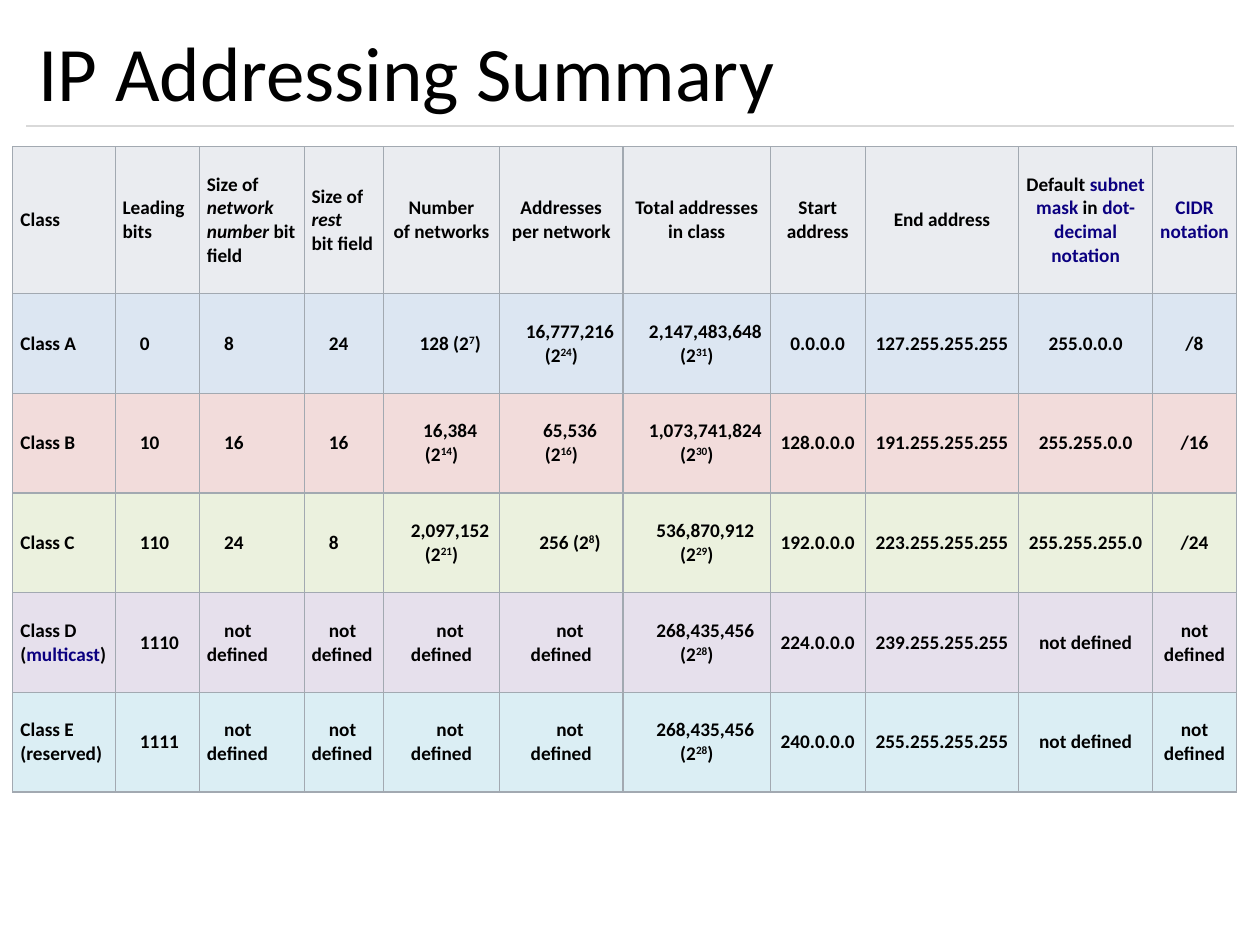
from lxml.etree import SubElement
from pptx import Presentation
from pptx.dml.color import RGBColor
from pptx.enum.shapes import MSO_CONNECTOR
from pptx.enum.text import MSO_ANCHOR, PP_ALIGN
from pptx.oxml.ns import qn
from pptx.util import Cm, Pt

FONT = "Calibri"
BLACK, LINK, BORDER, RULE = "000000", "0B0080", "A2A9B1", "D9D9D9"
COLUMN_WIDTHS = [2.06, 1.7, 2.11, 1.6, 2.34, 2.49, 2.97, 1.91, 3.1, 2.69, 1.7]
HEADER_HEIGHT, ROW_HEIGHT = 2.96, 2.01
FIRST_CENTRED = 4
INDENTED = range(1, 7)
INDENT = Cm(0.35)
UNDEFINED = "not defined"


def italic(text):
    return text, {"italic": True}


def link(text):
    return text, {"color": LINK}


def power(count, exponent):
    return [f"{count} (2", (str(exponent), {"raised": True}), ")"]


# A cell is a string or a list of spans; a span is a string or (text, format)
HEADER = [
    "Class",
    "Leading\nbits",
    ["Size of ", italic("network\nnumber "), "bit field"],
    ["Size of ", italic("rest\n"), "bit field"],
    "Number\nof networks",
    "Addresses\nper network",
    "Total addresses\nin class",
    "Start address",
    "End address",
    ["Default ", link("subnet mask"), " in ", link("dot-decimal notation")],
    [link("CIDR notation")],
]
CLASSES = [
    ("DCE6F2", ["Class A", "0", "8", "24", power("128", 7), power("16,777,216", 24),
                power("2,147,483,648", 31), "0.0.0.0", "127.255.255.255",
                "255.0.0.0", "/8"]),
    ("F2DCDB", ["Class B", "10", "16", "16", power("16,384", 14), power("65,536", 16),
                power("1,073,741,824", 30), "128.0.0.0", "191.255.255.255",
                "255.255.0.0", "/16"]),
    ("EBF1DE", ["Class C", "110", "24", "8", power("2,097,152", 21), power("256", 8),
                power("536,870,912", 29), "192.0.0.0", "223.255.255.255",
                "255.255.255.0", "/24"]),
    ("E6E0EC", [["Class D (", link("multicast"), ")"], "1110", *[UNDEFINED] * 4,
                power("268,435,456", 28), "224.0.0.0", "239.255.255.255",
                UNDEFINED, UNDEFINED]),
    ("DBEEF4", ["Class E (reserved)", "1111", *[UNDEFINED] * 4,
                power("268,435,456", 28), "240.0.0.0", "255.255.255.255",
                UNDEFINED, UNDEFINED]),
]


def rgb(value):
    return RGBColor.from_string(value)


def add_text(para, text, size=11, color=BLACK, bold=True, italic=False, raised=False):
    for index, line in enumerate(text.split("\n")):
        if index:
            para.add_line_break()
        if not line:
            continue
        span = para.add_run()
        span.text = line
        font = span.font
        font.name, font.size, font.bold, font.italic = FONT, Pt(size), bold, italic
        font.color.rgb = rgb(color)
        if raised:
            span._r.get_or_add_rPr().set("baseline", "30000")


def add_title(page, text):
    box = page.shapes.add_textbox(Cm(0.53), Cm(0.3), Cm(24.33), Cm(2.24))
    frame = box.text_frame
    frame.word_wrap = True
    frame.vertical_anchor = MSO_ANCHOR.MIDDLE
    add_text(frame.paragraphs[0], text, size=44, bold=False)


def add_rule(page):
    rule = page.shapes.add_connector(
        MSO_CONNECTOR.STRAIGHT, Cm(0.53), Cm(2.54), Cm(24.87), Cm(2.54))
    rule.line.color.rgb = rgb(RULE)
    rule.line.width = Pt(0.75)
    SubElement(rule._element.spPr, qn("a:effectLst"))


def set_borders(cell):
    properties = cell._tc.get_or_add_tcPr()
    for side in ("lnL", "lnR", "lnT", "lnB"):
        border = SubElement(properties, qn(f"a:{side}"), w=str(Pt(0.75)))
        fill = SubElement(border, qn("a:solidFill"))
        SubElement(fill, qn("a:srgbClr"), val=BORDER)


def fill_cell(cell, content, fill, centred, indented):
    set_borders(cell)
    cell.fill.solid()
    cell.fill.fore_color.rgb = rgb(fill)
    cell.vertical_anchor = MSO_ANCHOR.MIDDLE
    cell.margin_left = cell.margin_right = Cm(0.15)
    cell.margin_top = cell.margin_bottom = Cm(0.08)
    para = cell.text_frame.paragraphs[0]
    para.alignment = PP_ALIGN.CENTER if centred else PP_ALIGN.LEFT
    if indented:
        para._p.get_or_add_pPr().set("indent", str(INDENT))
    for span in [content] if isinstance(content, str) else content:
        text, style = (span, {}) if isinstance(span, str) else span
        add_text(para, text, **style)


def add_class_table(page):
    rows = [("EAECF0", HEADER), *CLASSES]
    heights = [HEADER_HEIGHT] + [ROW_HEIGHT] * len(CLASSES)
    table = page.shapes.add_table(
        len(rows), len(HEADER), Cm(0.26), Cm(2.96),
        Cm(sum(COLUMN_WIDTHS)), Cm(sum(heights))).table
    table.first_row = table.horz_banding = False
    for column, width in zip(table.columns, COLUMN_WIDTHS):
        column.width = Cm(width)
    for row_index, (fill, contents) in enumerate(rows):
        table.rows[row_index].height = Cm(heights[row_index])
        for index, content in enumerate(contents):
            fill_cell(table.cell(row_index, index), content, fill,
                      centred=index >= FIRST_CENTRED,
                      indented=row_index > 0 and index in INDENTED)


def main():
    deck = Presentation()
    deck.slide_width, deck.slide_height = Cm(25.4), Cm(19.05)
    page = deck.slides.add_slide(deck.slide_layouts[6])
    add_rule(page)
    add_title(page, "IP Addressing Summary")
    add_class_table(page)
    deck.save("out.pptx")


if __name__ == "__main__":
    main()
